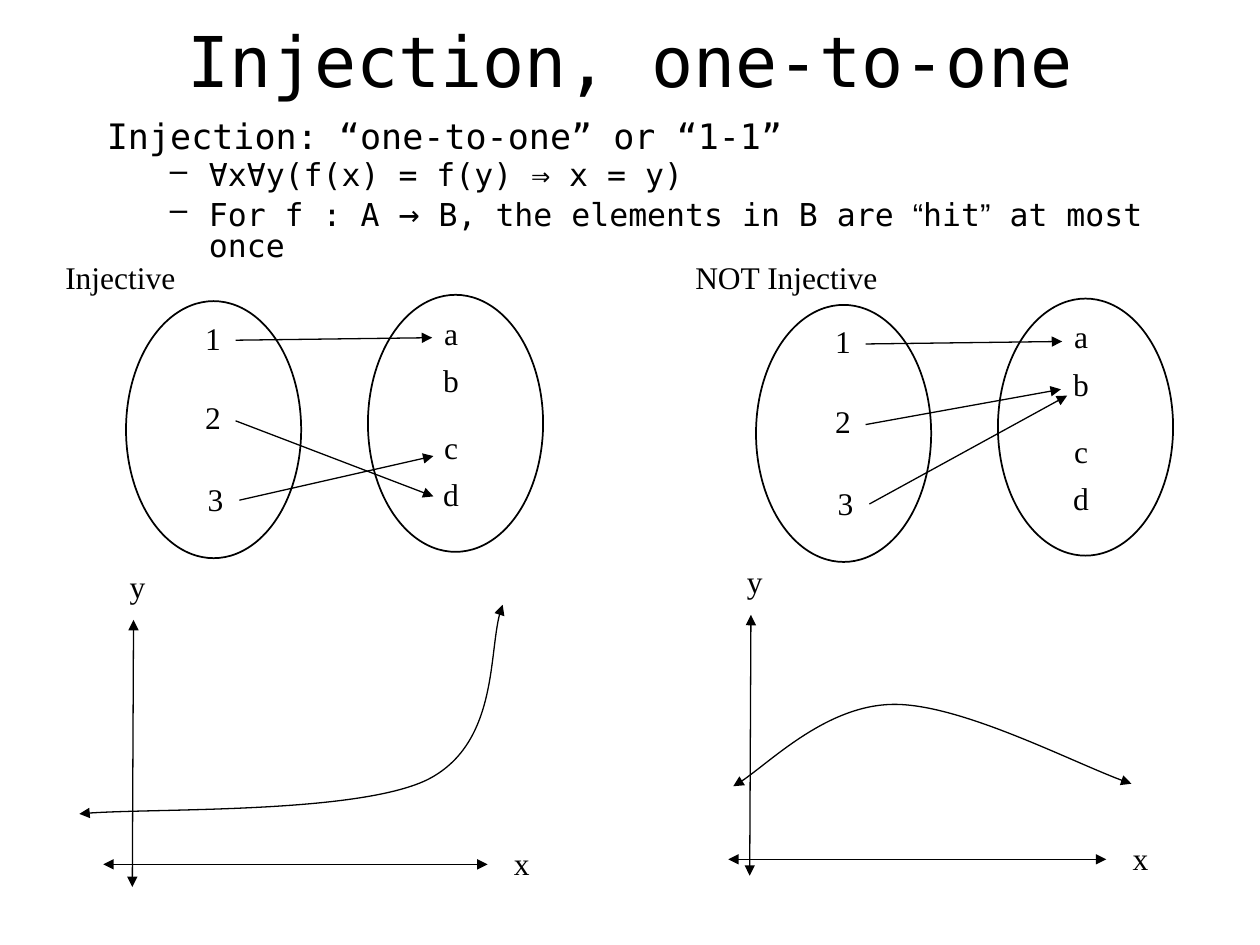
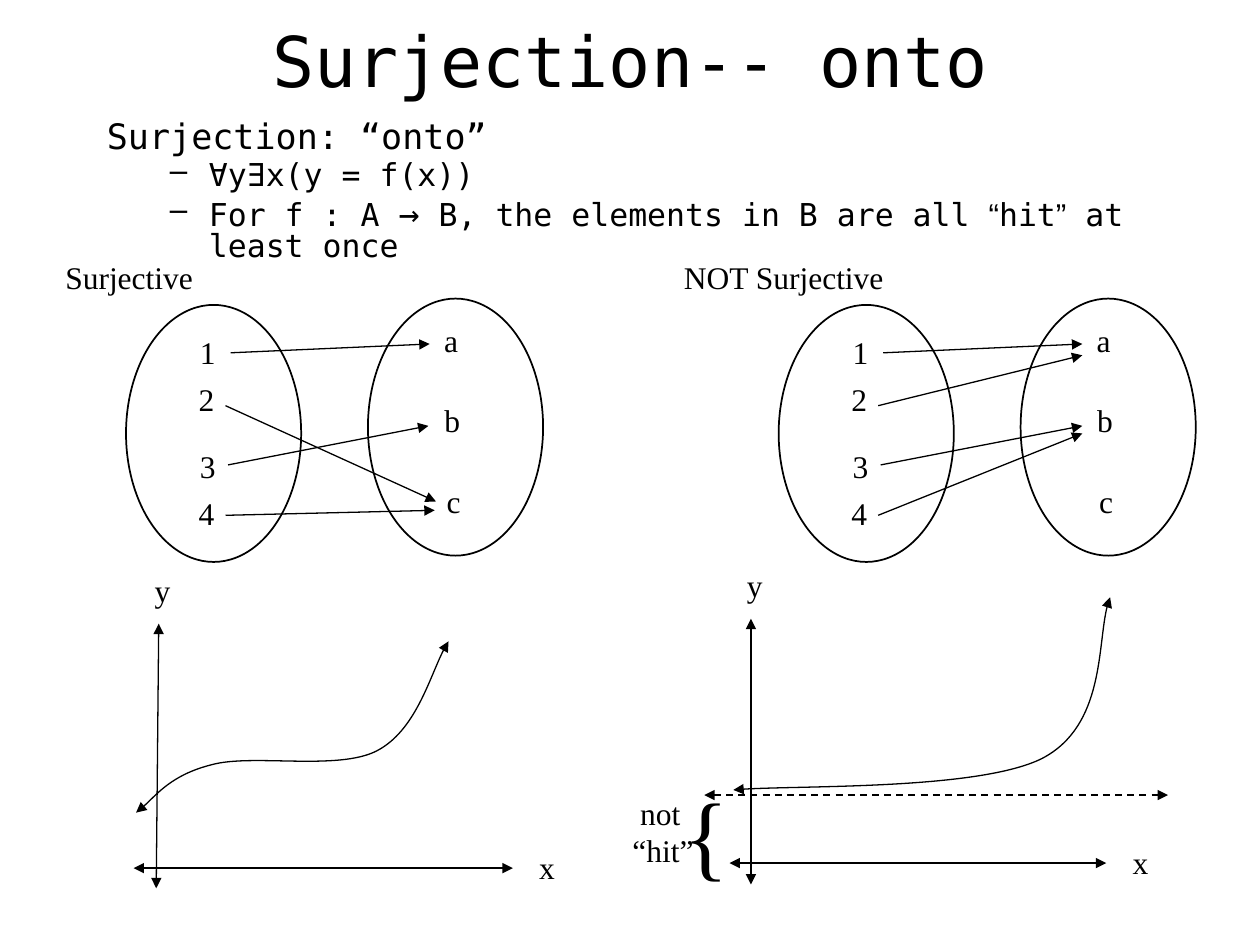
from dataclasses import dataclass

from lxml import etree
from pptx import Presentation
from pptx import util as u
from pptx.dml.color import RGBColor
from pptx.enum import dml, shapes, text
from pptx.oxml.ns import qn


@dataclass(frozen=True)
class Theme:
    ink: RGBColor = RGBColor(0, 0, 0)
    mono: str = "DejaVu Sans Mono"
    serif: str = "Times New Roman"
    quote: str = "Arial"
    title: int = 40
    heading: int = 20
    base: int = 18
    brace: int = 54
    thin: float = 0.75
    outline: float = 1


theme = Theme()
OVAL_WIDTH, OVAL_HEIGHT = 1.39, 2.04
DOMAIN_LEFT, CODOMAIN_LEFT, CODOMAIN_RISE = 1, 2.92, 0.05
LABEL_WIDTH, LABEL_HEIGHT = 0.33, 0.4
AXIS_LABEL_WIDTH = 0.37


def add_text(slide, content, left, top, width, height, size=theme.base, font=theme.serif,
             align=text.PP_ALIGN.LEFT, anchor=text.MSO_ANCHOR.TOP, wrap=True):
    """content is a string, or a list of paragraphs that are lists of (text, size, font) runs."""
    box = slide.shapes.add_textbox(*map(u.Inches, (left, top, width, height)))
    frame = box.text_frame
    frame.word_wrap = wrap
    frame.vertical_anchor = anchor
    paragraphs = [[(content, size, font)]] if isinstance(content, str) else content
    for index, runs in enumerate(paragraphs):
        paragraph = frame.add_paragraph() if index else frame.paragraphs[0]
        paragraph.alignment = align
        for words, run_size, run_font in runs:
            run = paragraph.add_run()
            run.text = words
            run.font.size = u.Pt(run_size)
            run.font.name = run_font
            run.font.color.rgb = theme.ink
    return frame


def style_line(shape, width=theme.thin, ends=("tailEnd",), dash=None):
    """Set colour, width and arrowheads, and remove the shadow."""
    shape.line.color.rgb = theme.ink
    shape.line.width = u.Pt(width)
    if dash:
        shape.line.dash_style = dash
    properties = shape._element.spPr
    for end in ends:
        etree.SubElement(properties.find(qn("a:ln")), qn(f"a:{end}"), type="triangle")
    if properties.find(qn("a:effectLst")) is None:
        etree.SubElement(properties, qn("a:effectLst"))


both_ends = ("headEnd", "tailEnd")

# Elements: label, centre x, top. Starts: where the arrow of each domain element begins.
injection = dict(
    oval_top=2.39,
    elements=[("1", 1.69, 2.48), ("2", 1.69, 3.11), ("3", 1.71, 3.76),
              ("a", 3.58, 2.44), ("b", 3.58, 2.82), ("c", 3.58, 3.35), ("d", 3.58, 3.72)],
    starts=[(1.87, 2.7), (1.87, 3.34), (1.9, 3.97)])
surjection = dict(
    oval_top=2.42,
    elements=[("1", 1.65, 2.59), ("2", 1.64, 2.97), ("3", 1.65, 3.5), ("4", 1.64, 3.87),
              ("a", 3.58, 2.5), ("b", 3.59, 3.13), ("c", 3.6, 3.78)],
    starts=[(1.83, 2.8), (1.79, 3.22), (1.81, 3.69), (1.79, 4.09)])

# Panels: arrow ends are relative to the offset; axes and curves are slide positions.
# Curves: a start point, then three points for each Bézier segment.
lessons = [
    dict(title="Injection, one-to-one", heading="Injection: “one-to-one” or “1-1”",
         formula="∀x∀y(f(x) = f(y) ⇒ x = y)", before=" B, the elements in B are ",
         after=" at most once", mapping=injection,
         panels=[
             dict(caption="Injective", caption_box=(0.42, 1.4), offset=(0, 0),
                  ends=[(3.43, 2.68), (3.44, 3.94), (3.44, 3.62)],
                  y_axis=(1.05, 7.04, 1.06, 4.92), x_axis=(0.82, 6.86, 3.87, 6.86),
                  curve=[(0.63, 6.46), (1.09, 6.41), (2.83, 6.46), (3.39, 6.19),
                         (3.95, 5.91), (3.87, 5.09), (3.99, 4.8)]),
             dict(caption="NOT Injective", caption_box=(5.42, 1.83), offset=(5, 0.03),
                  ends=[(3.43, 2.68), (3.42, 3.06), (3.47, 3.11)],
                  y_axis=(5.95, 6.95, 5.96, 4.88), x_axis=(5.78, 6.82, 8.78, 6.82),
                  curve=[(5.82, 6.24), (6.03, 6.13), (6.57, 5.59), (7.1, 5.59),
                         (7.63, 5.59), (8.59, 6.09), (8.98, 6.22)])]),
    dict(title="Surjection-- onto", heading="Surjection: “onto”",
         formula="∀y∃x(y = f(x))", before=" B, the elements in B are all ",
         after=" at least once", mapping=surjection,
         panels=[
             dict(caption="Surjective", caption_box=(0.42, 1.4), offset=(0, 0),
                  ends=[(3.41, 2.73), (3.46, 3.98), (3.4, 3.38), (3.45, 4.05)],
                  y_axis=(1.24, 7.05, 1.26, 4.95), x_axis=(1.06, 6.89, 4.07, 6.89),
                  curve=[(1.08, 6.45), (1.18, 6.38), (1.36, 6.15), (1.68, 6.07),
                         (2, 5.98), (2.68, 6.12), (2.99, 5.96),
                         (3.3, 5.8), (3.44, 5.27), (3.56, 5.09)]),
             dict(caption="NOT Surjective", caption_box=(5.33, 2.14), offset=(5.18, 0),
                  ends=[(3.41, 2.73), (3.41, 2.82), (3.41, 3.38), (3.41, 3.44)],
                  y_axis=(5.96, 7.02, 5.96, 4.91), x_axis=(5.79, 6.85, 8.78, 6.85),
                  curve=[(5.82, 6.27), (6.23, 6.23), (7.77, 6.27), (8.27, 6.02),
                         (8.77, 5.76), (8.7, 5.01), (8.81, 4.74)])]),
]

presentation = Presentation()
presentation.slide_width, presentation.slide_height = u.Inches(10), u.Inches(7.5)

for lesson in lessons:
    slide = presentation.slides.add_slide(presentation.slide_layouts[6])
    mapping = lesson["mapping"]

    add_text(slide, lesson["title"], 0.75, 0, 8.5, 0.95, size=theme.title, font=theme.mono,
             align=text.PP_ALIGN.CENTER, anchor=text.MSO_ANCHOR.MIDDLE)
    definition = add_text(slide, [
        [(lesson["heading"], theme.heading, theme.mono)],
        [(lesson["formula"], theme.base, theme.mono)],
        [("For f : A ", theme.base, theme.mono), ("→", theme.heading, theme.mono),
         (lesson["before"], theme.base, theme.mono), ("“", theme.base, theme.quote),
         ("hit", theme.base, theme.mono), ("”", theme.base, theme.quote),
         (lesson["after"], theme.base, theme.mono)],
    ], 0.75, 0.92, 8.5, 1.69)
    for index, paragraph in enumerate(definition.paragraphs):
        paragraph.line_spacing = 0.8
        if index:
            paragraph.level = 1
            paragraph.space_before = u.Pt(4)
            properties = paragraph._p.get_or_add_pPr()
            properties.set("marL", str(u.Inches(0.81)))
            properties.set("indent", str(u.Inches(-0.31)))
            etree.SubElement(properties, qn("a:buChar"), char="–")

    for panel in lesson["panels"]:
        shift_x, shift_y = panel["offset"]
        caption_left, caption_width = panel["caption_box"]
        add_text(slide, panel["caption"], caption_left, 2, caption_width, LABEL_HEIGHT)

        for left, rise in ((DOMAIN_LEFT, 0), (CODOMAIN_LEFT, CODOMAIN_RISE)):
            oval = slide.shapes.add_shape(
                shapes.MSO_SHAPE.OVAL, u.Inches(left + shift_x),
                u.Inches(mapping["oval_top"] - rise + shift_y),
                u.Inches(OVAL_WIDTH), u.Inches(OVAL_HEIGHT))
            oval.shadow.inherit = False
            oval.fill.background()
            style_line(oval, theme.outline, ends=())

        for label, centre, top in mapping["elements"]:
            add_text(slide, label, centre - LABEL_WIDTH / 2 + shift_x, top + shift_y,
                     LABEL_WIDTH, LABEL_HEIGHT, align=text.PP_ALIGN.CENTER, wrap=False)

        for (start_x, start_y), (end_x, end_y) in zip(mapping["starts"], panel["ends"]):
            arrow = slide.shapes.add_connector(
                shapes.MSO_CONNECTOR.STRAIGHT,
                u.Inches(start_x + shift_x), u.Inches(start_y + shift_y),
                u.Inches(end_x + shift_x), u.Inches(end_y + shift_y))
            style_line(arrow)

        for points in (panel["y_axis"], panel["x_axis"]):
            axis = slide.shapes.add_connector(
                shapes.MSO_CONNECTOR.STRAIGHT, *map(u.Inches, points))
            style_line(axis, ends=both_ends)
        y_end, x_end = panel["y_axis"][2:], panel["x_axis"][2:]
        add_text(slide, "y", y_end[0] - 0.13, y_end[1] - 0.47, AXIS_LABEL_WIDTH, LABEL_HEIGHT)
        add_text(slide, "x", x_end[0] + 0.11, x_end[1] - 0.21, AXIS_LABEL_WIDTH, LABEL_HEIGHT)

        start, *controls = [(u.Inches(x), u.Inches(y)) for x, y in panel["curve"]]
        builder = slide.shapes.build_freeform(*start)
        builder.add_line_segments(controls, close=False)
        curve = builder.convert_to_shape()
        curve.shadow.inherit = False
        curve.fill.background()
        style_line(curve, ends=both_ends)
        # Join every three straight segments into one Bézier segment.
        outline = next(curve._element.iter(qn("a:path")))
        segments = outline.findall(qn("a:lnTo"))
        for first in range(0, len(segments), 3):
            bezier = etree.SubElement(outline, qn("a:cubicBezTo"))
            for segment in segments[first:first + 3]:
                bezier.append(segment[0])
                outline.remove(segment)

# The range that the last function never reaches
asymptote = slide.shapes.add_connector(
    shapes.MSO_CONNECTOR.STRAIGHT, *map(u.Inches, (5.59, 6.31, 9.27, 6.31)))
style_line(asymptote, theme.outline, both_ends, dml.MSO_LINE.DASH)
add_text(slide, "{", 5.33, 6.1, 0.56, 1, size=theme.brace, wrap=False)
add_text(slide, " not “hit”", 4.92, 6.25, 0.85, 0.7)

presentation.save("out.pptx")
